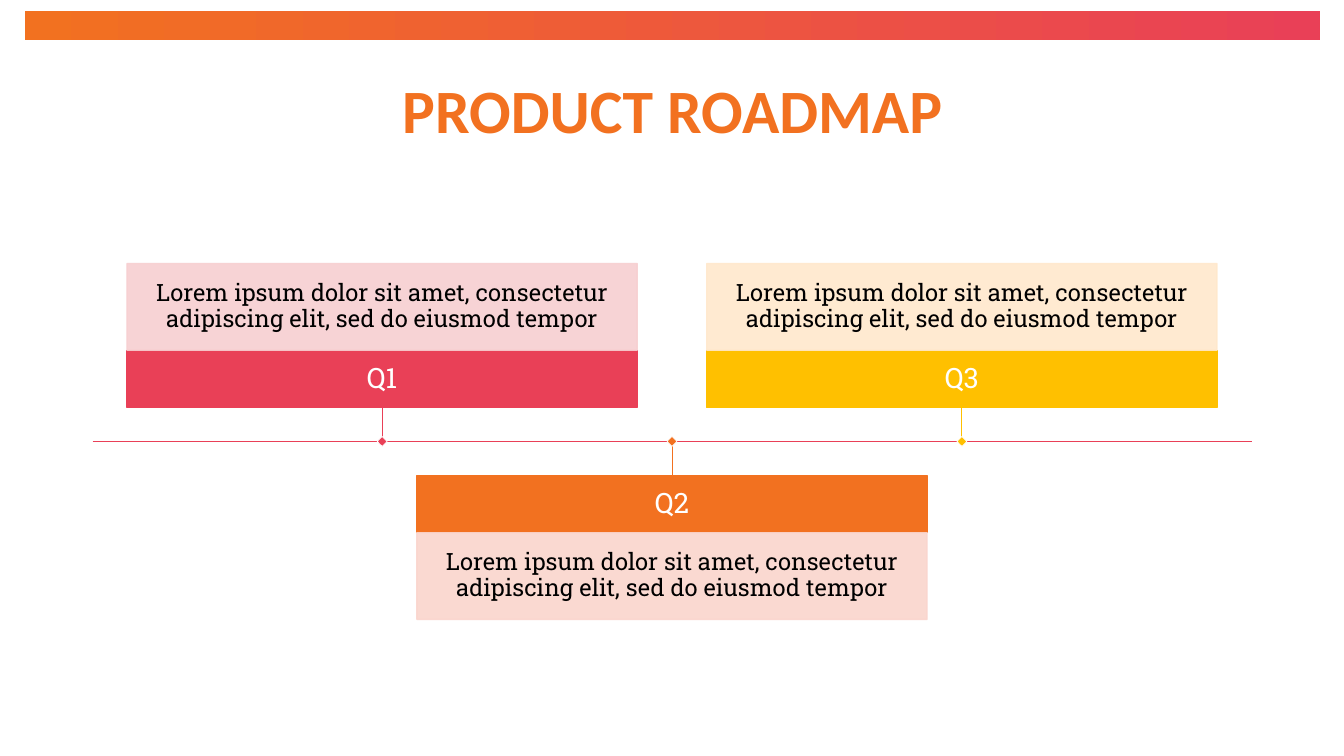
from dataclasses import dataclass

from lxml import etree
from pptx import Presentation
from pptx import util as u
from pptx.dml.color import RGBColor
from pptx.enum import shapes, text
from pptx.oxml import ns

RED = RGBColor(0xE9, 0x40, 0x57)
ORANGE = RGBColor(0xF2, 0x71, 0x20)
YELLOW = RGBColor(0xFF, 0xC0, 0x00)
PALE_RED = RGBColor(0xF7, 0xCF, 0xD1)
PALE_ORANGE = RGBColor(0xFA, 0xD5, 0xCD)
PALE_YELLOW = RGBColor(0xFF, 0xE8, 0xCC)
WHITE = RGBColor(0xFF, 0xFF, 0xFF)
BLACK = RGBColor(0x00, 0x00, 0x00)

TITLE_FONT = "Calibri"
CARD_FONT = "Roboto Slab"
LOREM = "Lorem ipsum dolor sit amet, consectetur adipiscing elit, sed do eiusmod tempor"

AXIS_LEFT, AXIS_RIGHT, AXIS_Y = 0.92, 12.42, 4.38
CARD_LEFT, CARD_STEP, CARD_WIDTH = 1.26, 2.875, 5.06
HEADER_HEIGHT, BODY_HEIGHT = 0.57, 0.86
STEM_LENGTH = 0.335
MARKER_SIZE = 0.07
TOP_SIDE, BOTTOM_SIDE = 0, 2


@dataclass(frozen=True)
class Quarter:
    label: str
    color: RGBColor
    pale: RGBColor
    above: bool


QUARTERS = [
    Quarter("Q1", RED, PALE_RED, True),
    Quarter("Q2", ORANGE, PALE_ORANGE, False),
    Quarter("Q3", YELLOW, PALE_YELLOW, True),
]


def add_rect(s, left: float, top: float, width: float, height: float):
    sp = s.shapes.add_shape(
        shapes.MSO_SHAPE.RECTANGLE,
        u.Inches(left), u.Inches(top), u.Inches(width), u.Inches(height),
    )
    sp.shadow.inherit = False
    return sp


def paint(sp, fill: RGBColor, line: RGBColor, width: float) -> None:
    sp.fill.solid()
    sp.fill.fore_color.rgb = fill
    sp.line.color.rgb = line
    sp.line.width = u.Pt(width)


def set_alpha(sp, percent: int) -> None:
    for color in sp._element.spPr.iter(ns.qn("a:srgbClr")):
        etree.SubElement(color, ns.qn("a:alpha")).set("val", str(percent * 1000))


def write(sp, words: str, font: str, size: float, color: RGBColor, bold: bool = False):
    tf = sp.text_frame
    tf.word_wrap = True
    tf.vertical_anchor = text.MSO_ANCHOR.MIDDLE
    p = tf.paragraphs[0]
    p.alignment = text.PP_ALIGN.CENTER
    p.line_spacing = 0.9
    r = p.add_run()
    r.text = words
    r.font.name = font
    r.font.size = u.Pt(size)
    r.font.bold = bold
    r.font.color.rgb = color
    return tf


def add_panel(s, left: float, top: float, height: float, color: RGBColor,
              words: str, size: float, ink: RGBColor, inset: float):
    sp = add_rect(s, left, top, CARD_WIDTH, height)
    paint(sp, color, color, 1)
    tf = write(sp, words, CARD_FONT, size, ink)
    tf.margin_left = tf.margin_right = u.Inches(inset)
    tf.margin_top = tf.margin_bottom = u.Inches(inset)
    return sp


def add_line(s, x1: float, y1: float, x2: float, y2: float,
             color: RGBColor, width: float):
    line = s.shapes.add_connector(
        shapes.MSO_CONNECTOR.STRAIGHT,
        u.Inches(x1), u.Inches(y1), u.Inches(x2), u.Inches(y2),
    )
    line.line.color.rgb = color
    line.line.width = u.Pt(width)
    etree.SubElement(line._element.spPr, ns.qn("a:effectLst"))
    return line


def add_banner(s) -> None:
    sp = add_rect(s, 0.25, 0.11, 12.84, 0.29)
    sp.line.fill.background()
    sp.fill.gradient()
    sp.fill.gradient_angle = 0
    for stop, color in zip(sp.fill.gradient_stops, (ORANGE, RED)):
        stop.color.rgb = color


def add_title(s) -> None:
    sp = s.shapes.add_textbox(
        u.Inches(AXIS_LEFT), u.Inches(0.4), u.Inches(11.5), u.Inches(1.45)
    )
    write(sp, "PRODUCT ROADMAP", TITLE_FONT, 44, ORANGE, bold=True)


def add_quarter(s, q: Quarter, left: float) -> None:
    center = left + CARD_WIDTH / 2
    if q.above:
        header_top = AXIS_Y - STEM_LENGTH - HEADER_HEIGHT
        body_top = header_top - BODY_HEIGHT
    else:
        header_top = AXIS_Y + STEM_LENGTH
        body_top = header_top + HEADER_HEIGHT

    header = add_panel(s, left, header_top, HEADER_HEIGHT, q.color,
                       q.label, 20, WHITE, 0.11)
    body = add_panel(s, left, body_top, BODY_HEIGHT, q.pale,
                     LOREM, 17, BLACK, 0.18)
    set_alpha(body, 90)

    if q.above:
        stem = add_line(s, center, AXIS_Y - STEM_LENGTH, center, AXIS_Y, q.color, 0.5)
        stem.begin_connect(header, BOTTOM_SIDE)
    else:
        stem = add_line(s, center, AXIS_Y, center, AXIS_Y + STEM_LENGTH, q.color, 0.5)
        stem.end_connect(header, TOP_SIDE)

    marker = add_rect(s, center - MARKER_SIZE / 2, AXIS_Y - MARKER_SIZE / 2,
                      MARKER_SIZE, MARKER_SIZE)
    marker.rotation = 45
    paint(marker, q.color, WHITE, 0.5)


def main() -> None:
    prs = Presentation()
    prs.slide_width = u.Inches(13.33)
    prs.slide_height = u.Inches(7.5)
    s = prs.slides.add_slide(prs.slide_layouts[6])
    add_banner(s)
    add_title(s)
    add_line(s, AXIS_LEFT, AXIS_Y, AXIS_RIGHT, AXIS_Y, RED, 1)
    for i, q in enumerate(QUARTERS):
        add_quarter(s, q, CARD_LEFT + i * CARD_STEP)
    prs.save("out.pptx")


if __name__ == "__main__":
    main()
